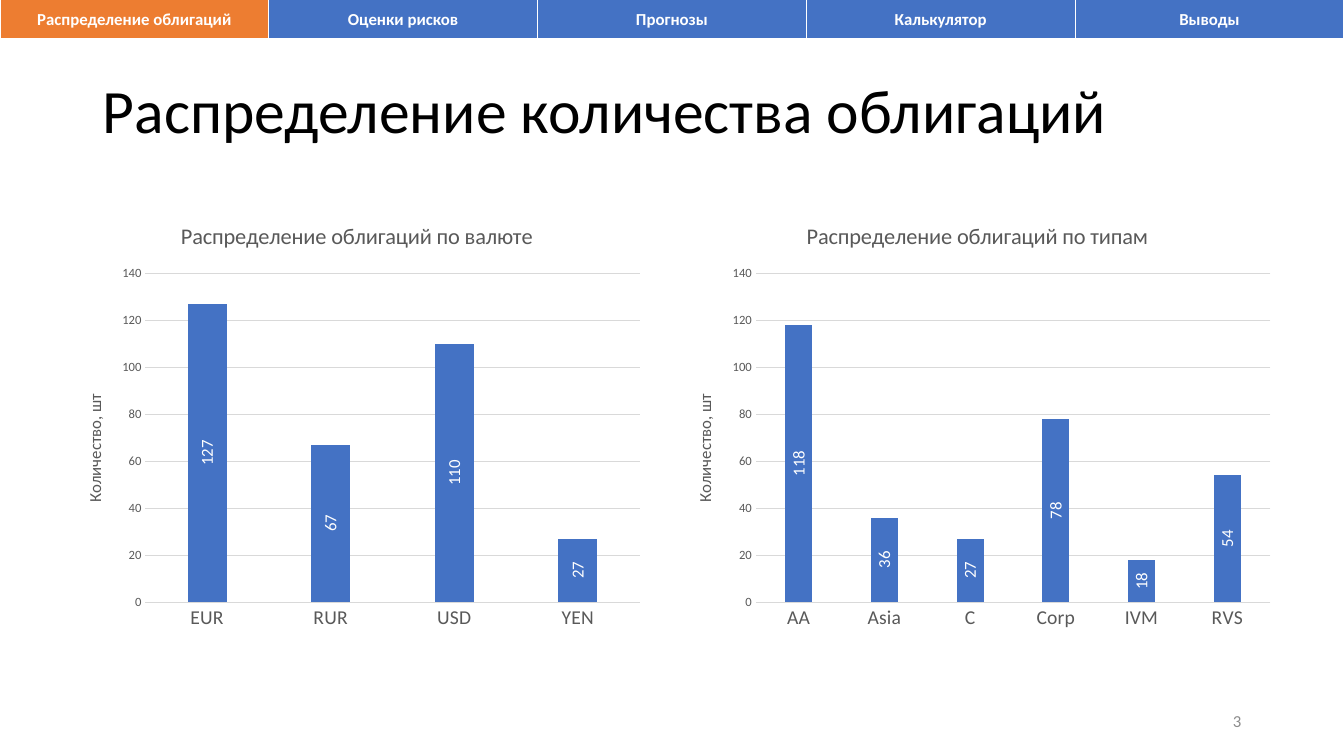
from lxml import etree
from pptx import Presentation
from pptx.chart.data import CategoryChartData
from pptx.dml.color import RGBColor
from pptx.enum.chart import XL_CHART_TYPE, XL_LABEL_POSITION, XL_TICK_MARK
from pptx.enum.text import MSO_ANCHOR, PP_ALIGN
from pptx.oxml.ns import qn
from pptx.util import Inches, Pt

WHITE = RGBColor(0xFF, 0xFF, 0xFF)
BLACK = RGBColor(0, 0, 0)
BLUE = RGBColor(0x44, 0x72, 0xC4)
ORANGE = RGBColor(0xED, 0x7D, 0x31)
TEXT_GREY = RGBColor(0x59, 0x59, 0x59)
LINE_GREY = RGBColor(0xD9, 0xD9, 0xD9)
NUMBER_GREY = RGBColor(0x8C, 0x8C, 0x8C)

# Content
TITLE = "Распределение количества облигаций"
SECTIONS = ["Распределение облигаций", "Оценки рисков", "Прогнозы",
            "Калькулятор", "Выводы"]
ACTIVE = 0
AXIS_TITLE = "Количество, шт"
PAGE = "3"
CHARTS = [  # title, left, width, values
    ("Распределение облигаций по валюте", 0.62, 5.84,
     {"EUR": 127, "RUR": 67, "USD": 110, "YEN": 27}),
    ("Распределение облигаций по типам", 6.67, 6.05,
     {"AA": 118, "Asia": 36, "C": 27, "Corp": 78, "IVM": 18, "RVS": 54}),
]
WIDTH, HEIGHT = 13.33, 7.5
MARGIN = 0.92
CHART_TOP, CHART_HEIGHT = 2.01, 4.33
BORDERS = {"lnL": 1, "lnR": 1, "lnT": 1, "lnB": 3}


def box(*lengths):
    return [Inches(v) for v in lengths]


def style(font, size, color, bold=False):
    for name, value in {"name": "Calibri", "size": Pt(size), "bold": bold}.items():
        setattr(font, name, value)
    font.color.rgb = color


def write(tf, text, size, color, align, bold=False):
    tf.text = text
    tf.word_wrap = True
    tf.vertical_anchor = MSO_ANCHOR.MIDDLE
    p = tf.paragraphs[0]
    p.alignment = align
    style(p.runs[0].font, size, color, bold)
    return p


def turn_up(body):
    """Rotate chart text to read from bottom to top."""
    body.set("rot", "-5400000")
    body.set("vert", "horz")


def add_borders(cell):
    tc_pr = cell._tc.get_or_add_tcPr()
    for i, (side, width) in enumerate(BORDERS.items()):
        line = etree.Element(qn(f"a:{side}"), w=str(Pt(width)))
        fill = etree.SubElement(line, qn("a:solidFill"))
        etree.SubElement(fill, qn("a:srgbClr"), val=str(WHITE))
        tc_pr.insert(i, line)


def add_bar_chart(s, title, left, width, values):
    data = CategoryChartData()
    data.categories = list(values)
    data.add_series("Количество", list(values.values()))
    chart = s.shapes.add_chart(XL_CHART_TYPE.COLUMN_CLUSTERED,
                               *box(left, CHART_TOP, width, CHART_HEIGHT), data).chart
    style(chart.font, 10, BLACK)
    chart.has_legend = False
    chart.has_title = True
    tf = chart.chart_title.text_frame
    tf.text = title
    style(tf.paragraphs[0].runs[0].font, 16, TEXT_GREY)
    chart.chart_title.include_in_layout = False

    # Axes
    cat, val = chart.category_axis, chart.value_axis
    for axis, size in ((cat, 14), (val, 9)):
        axis.major_tick_mark = axis.minor_tick_mark = XL_TICK_MARK.NONE
        style(axis.tick_labels.font, size, TEXT_GREY)
    for line in (cat.format.line, val.major_gridlines.format.line):
        line.color.rgb = LINE_GREY
        line.width = Pt(0.75)
    val.format.line.fill.background()
    val.minimum_scale, val.maximum_scale, val.major_unit = 0, 140, 20
    tf = val.axis_title.text_frame
    tf.text = AXIS_TITLE
    style(tf.paragraphs[0].runs[0].font, 12, TEXT_GREY)
    turn_up(tf._txBody.find(qn("a:bodyPr")))

    # Bars and their labels
    plot = chart.plots[0]
    plot.gap_width, plot.overlap, plot.vary_by_categories = 219, -27, False
    fill = plot.series[0].format.fill
    fill.solid()
    fill.fore_color.rgb = BLUE
    labels = plot.series[0].data_labels
    labels.show_value = True
    labels.position = XL_LABEL_POSITION.CENTER
    style(labels.font, 12, WHITE)
    turn_up(labels._element.find(f".//{qn('a:bodyPr')}"))


prs = Presentation()
prs.slide_width, prs.slide_height = box(WIDTH, HEIGHT)
s = prs.slides.add_slide(prs.slide_layouts[5])

# Title
title = s.shapes.title
title.left, title.top, title.width, title.height = box(
    MARGIN, 0.4, WIDTH - 2 * MARGIN, 1.45)
p = write(title.text_frame, TITLE, 44, BLACK, PP_ALIGN.LEFT)
p.line_spacing = 0.9

# Section bar
table = s.shapes.add_table(1, len(SECTIONS), *box(0, -0.01, WIDTH, 0.41)).table
for i, section in enumerate(SECTIONS):
    cell = table.cell(0, i)
    write(cell.text_frame, section, 12, WHITE, PP_ALIGN.CENTER, True)
    cell.vertical_anchor = MSO_ANCHOR.MIDDLE
    cell.fill.solid()
    cell.fill.fore_color.rgb = ORANGE if i == ACTIVE else BLUE
    add_borders(cell)

# Charts
for chart_spec in CHARTS:
    add_bar_chart(s, *chart_spec)

# Page number
number = s.shapes.add_textbox(*box(WIDTH - MARGIN - 3, 6.95, 3, 0.4))
write(number.text_frame, PAGE, 12, NUMBER_GREY, PP_ALIGN.RIGHT)

prs.save("out.pptx")
